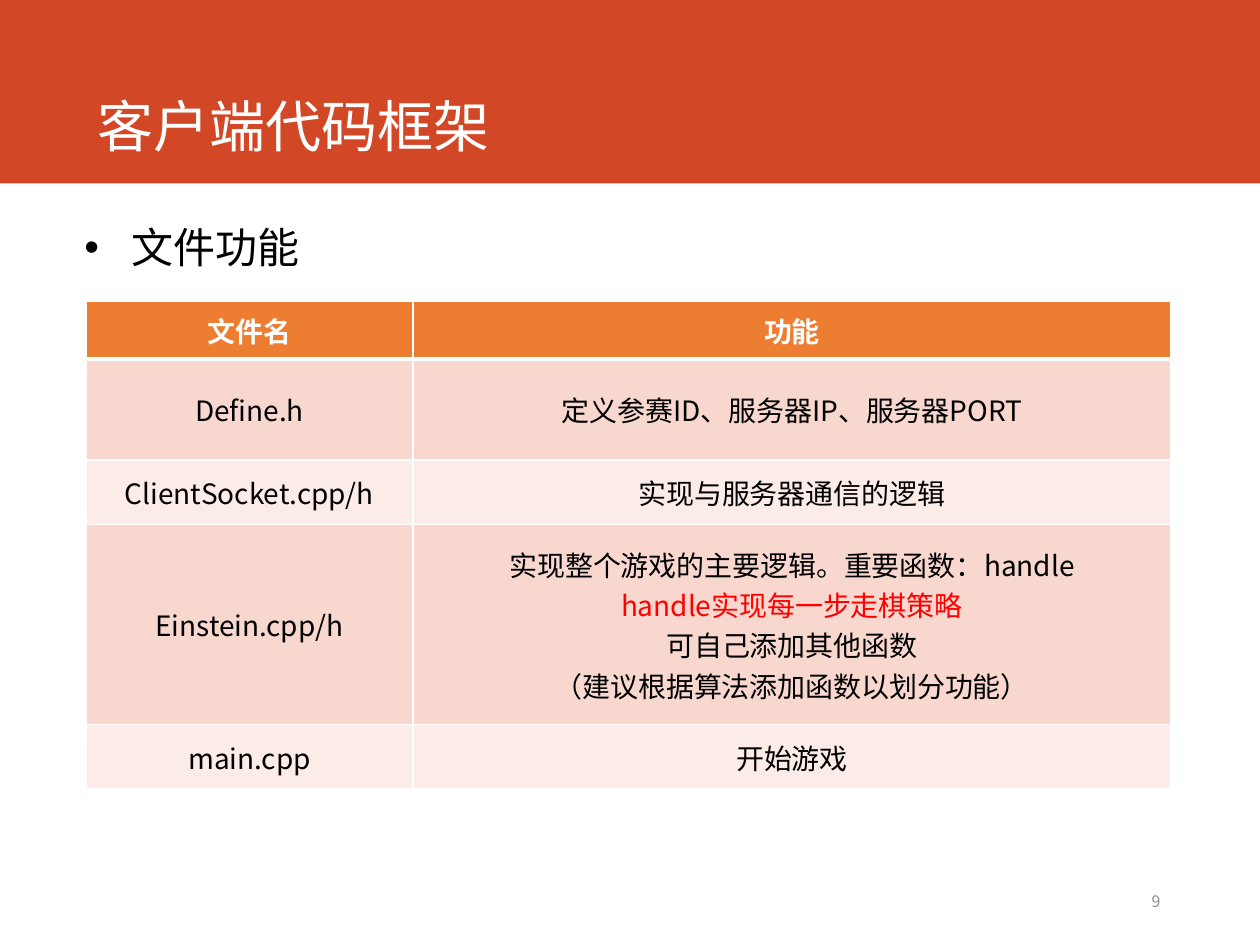
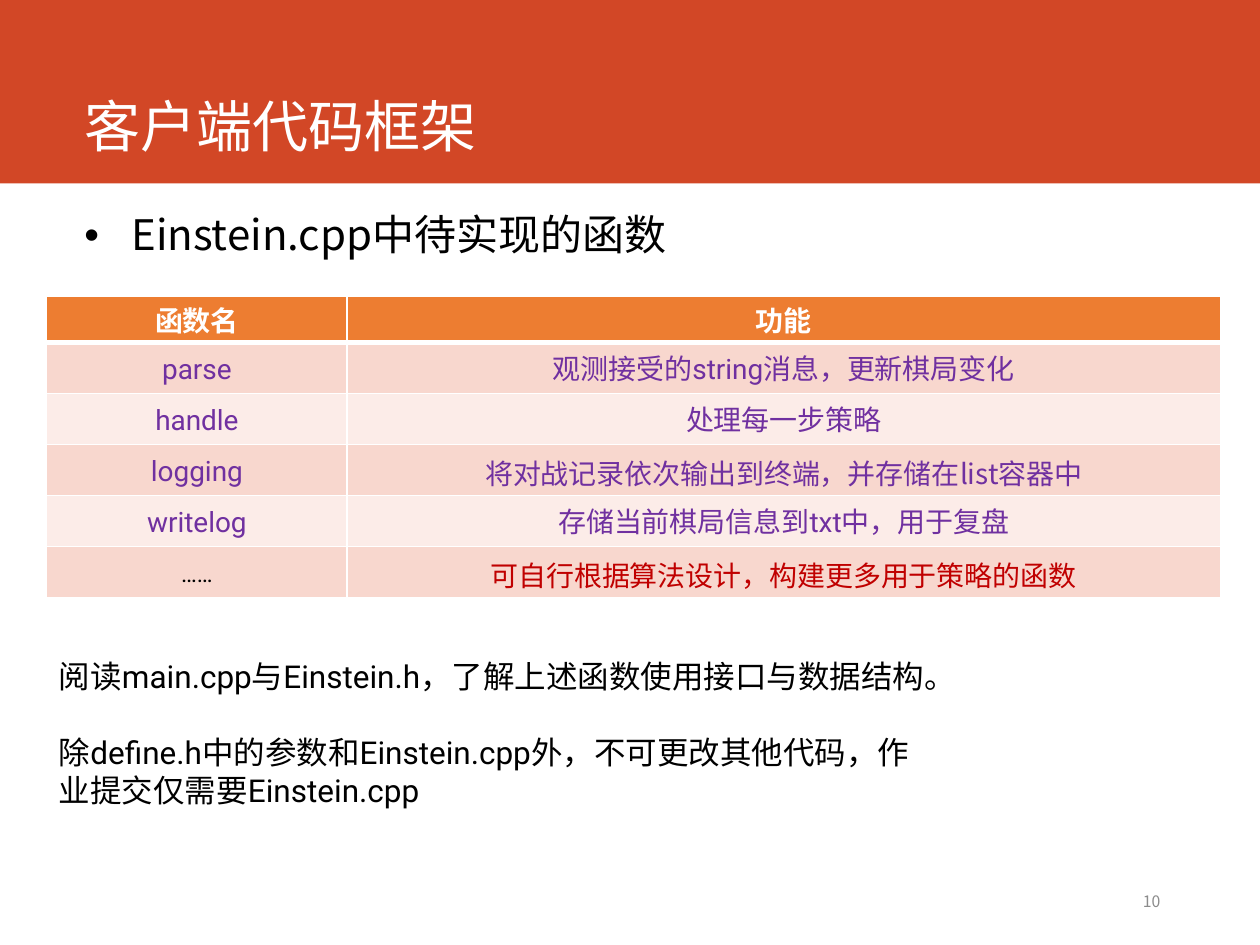
from lxml import etree
from pptx import Presentation
from pptx import util as u
from pptx.dml.color import RGBColor
from pptx.enum import shapes, text
from pptx.oxml.ns import qn

HUES = {
    "band": "D24726", "head": "ED7D31", "odd": "F8D7CE", "even": "FCECE8",
    "white": "FFFFFF", "black": "000000", "gray": "8C8C8C",
    "red": "FF0000", "dark": "C00000", "plum": "7030A0",
}
NOTO, ROBO = "Noto Sans CJK SC", "Roboto"
LEFT, MID, RIGHT = text.PP_ALIGN.LEFT, text.PP_ALIGN.CENTER, text.PP_ALIGN.RIGHT
TOP, CORE, LOW = text.MSO_ANCHOR.TOP, text.MSO_ANCHOR.MIDDLE, text.MSO_ANCHOR.BOTTOM


def put(frame, lines, size, hue="black", face=NOTO, align=LEFT, bold=False):
    """Write one paragraph per line; a line is a string or a dict of overrides."""
    for i, line in enumerate(lines):
        look = {"size": size, "hue": hue, "face": face}
        look.update(line if isinstance(line, dict) else {"words": line})
        para = frame.paragraphs[0] if i == 0 else frame.add_paragraph()
        para.alignment = align
        run = para.add_run()
        run.text = look["words"]
        font = run.font
        font.size, font.bold, font.name = u.Pt(look["size"]), bold, look["face"]
        font.color.rgb = RGBColor.from_string(HUES[look["hue"]])
        etree.SubElement(run._r.rPr, qn("a:ea"), typeface=look["face"])


def box(page, x, y, w, h, anchor=TOP):
    """Add a wrapping text box, measured in cm, and return its frame."""
    frame = page.shapes.add_textbox(u.Cm(x), u.Cm(y), u.Cm(w), u.Cm(h)).text_frame
    frame.word_wrap = True
    frame.vertical_anchor = anchor
    return frame


PAGES = [
    {
        "num": "9", "title x": 1.72, "topic": "文件功能", "topic y": 4.45,
        "at": (1.73, 6.07), "cols": (6.6, 15.27), "face": NOTO, "hue": "black",
        "rows": (1.17, 2.03, 1.3, 4.04, 1.3), "pad": (0.13, 0.13),
        "cells": [
            (["文件名"], ["功能"]),
            (["Define.h"], ["定义参赛ID、服务器IP、服务器PORT"]),
            (["ClientSocket.cpp/h"], ["实现与服务器通信的逻辑"]),
            (["Einstein.cpp/h"], [
                "实现整个游戏的主要逻辑。重要函数：handle",
                {"words": "handle实现每一步走棋策略", "hue": "red"},
                "可自己添加其他函数",
                "（建议根据算法添加函数以划分功能）"]),
            (["main.cpp"], ["开始游戏"]),
        ],
    },
    {
        "num": "10", "title x": 1.45, "topic": "Einstein.cpp中待实现的函数",
        "topic y": 4.2,
        "at": (0.94, 5.98), "cols": (6.06, 17.6), "face": ROBO, "hue": "plum",
        "rows": (0.92,) + (1.03,) * 5, "pad": (0.08, 0),
        "cells": [
            (["函数名"], ["功能"]),
            (["parse"], ["观测接受的string消息，更新棋局变化"]),
            (["handle"], ["处理每一步策略"]),
            (["logging"], [{"words": "将对战记录依次输出到终端，并存储在list容器中",
                            "face": NOTO}]),
            (["writelog"], ["存储当前棋局信息到txt中，用于复盘"]),
            ([{"words": "……", "size": 13.5, "hue": "black"}],
             [{"words": "可自行根据算法设计，构建更多用于策略的函数",
               "face": NOTO, "hue": "dark"}]),
        ],
        "notes": ["阅读main.cpp与Einstein.h，了解上述函数使用接口与数据结构。",
                  "除define.h中的参数和Einstein.cpp外，不可更改其他代码，"
                  "作业提交仅需要Einstein.cpp"],
    },
]

deck = Presentation()
deck.slide_width, deck.slide_height = u.Cm(25.4), u.Cm(19.05)

for info in PAGES:
    page = deck.slides.add_slide(deck.slide_layouts[6])

    band = page.shapes.add_shape(shapes.MSO_SHAPE.RECTANGLE, 0, 0,
                                 deck.slide_width, u.Cm(3.7))
    band.shadow.inherit = False
    band.fill.solid()
    band.fill.fore_color.rgb = RGBColor.from_string(HUES["band"])
    band.line.fill.background()

    title = box(page, info["title x"], 1.57, 11.2, 1.65, LOW)
    title.margin_top = title.margin_bottom = 0
    put(title, ["客户端代码框架"], 32, "white")
    title.paragraphs[0].line_spacing = 0.9

    topic = box(page, 1.45, info["topic y"], 22.65, 1.27)
    props = topic.paragraphs[0]._p.get_or_add_pPr()
    props.set("marL", str(u.Cm(0.95)))
    props.set("indent", str(-u.Cm(0.95)))
    etree.SubElement(props, qn("a:buFont"), typeface="Arial")
    etree.SubElement(props, qn("a:buChar"), char="•")
    put(topic, [info["topic"]], 24)
    topic.paragraphs[0].line_spacing = 0.9

    x, y = info["at"]
    cols, rows = info["cols"], info["rows"]
    grid = page.shapes.add_table(len(rows), len(cols), u.Cm(x), u.Cm(y),
                                 u.Cm(sum(cols)), u.Cm(sum(rows))).table
    for col, wide in zip(grid.columns, cols):
        col.width = u.Cm(wide)
    for r, (row, tall) in enumerate(zip(grid.rows, rows)):
        row.height = u.Cm(tall)
        fill = "head" if r == 0 else "odd" if r % 2 else "even"
        for cell, lines in zip(row.cells, info["cells"][r]):
            cell.vertical_anchor = CORE
            cell.margin_top, cell.margin_bottom = map(u.Cm, info["pad"])
            cell.fill.solid()
            cell.fill.fore_color.rgb = RGBColor.from_string(HUES[fill])
            put(cell.text_frame, lines, 16, info["hue"] if r else "white",
                info["face"], MID, bold=r == 0)
            props = cell._tc.get_or_add_tcPr()
            for i, side in enumerate("LRTB"):
                thick = (r, side) in ((0, "B"), (1, "T"))
                edge = etree.Element(qn("a:ln" + side), w=str(u.Pt(3 if thick else 1)))
                ink = etree.SubElement(edge, qn("a:solidFill"))
                etree.SubElement(ink, qn("a:srgbClr"), val=HUES["white"])
                props.insert(i, edge)

    put(box(page, 16.81, 17.65, 6.83, 1.02, CORE), [info["num"]], 9, "gray",
        align=RIGHT)

    if "notes" in info:
        notes = box(page, 0.94, 13.13, 18.1, 3.33)
        put(notes, info["notes"], 18, face=ROBO)
        for para in notes.paragraphs:
            para.line_spacing = u.Pt(21.6)
        notes.paragraphs[1].space_before = u.Pt(21.6)

deck.save("out.pptx")
